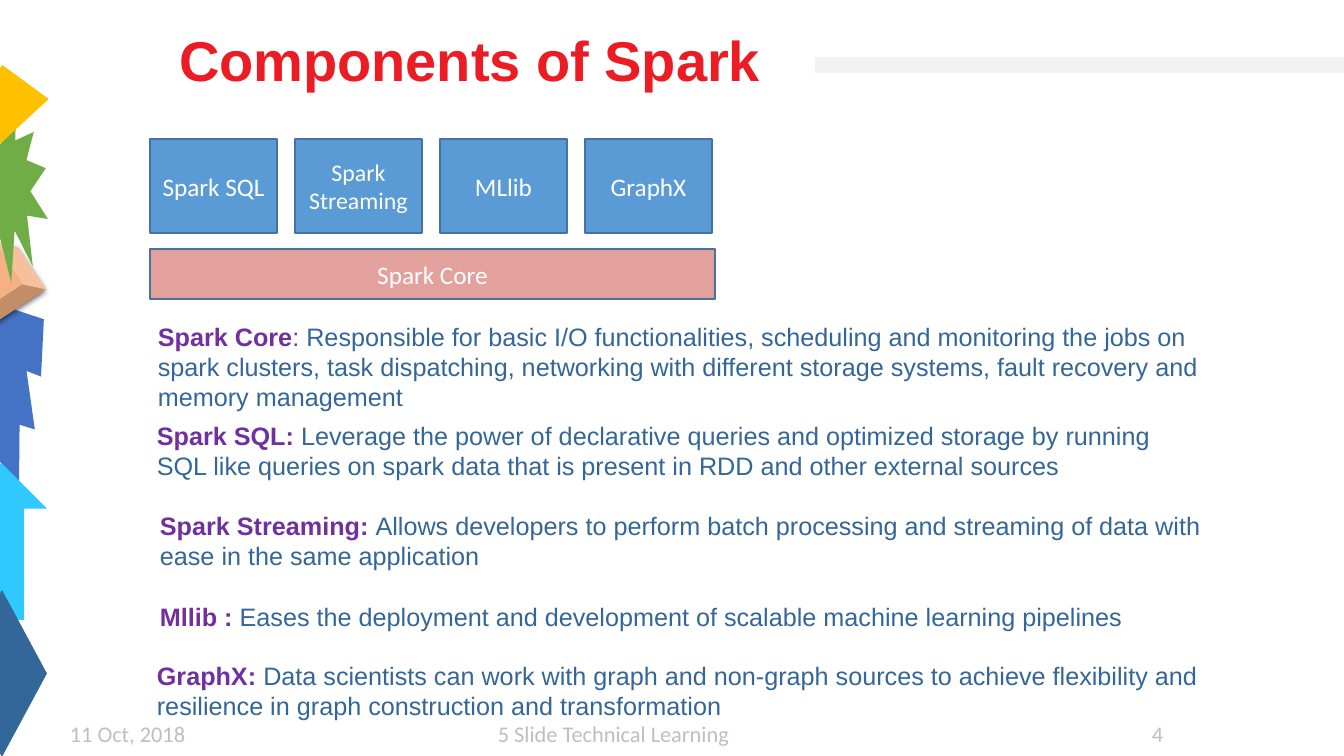
from lxml import etree
from pptx import Presentation
from pptx import util as u
from pptx.dml.color import RGBColor
from pptx.enum import shapes, text
from pptx.oxml import ns

PX = 914400 / 100.8  # EMU in one px

WHITE = RGBColor(0xFF, 0xFF, 0xFF)
RED = RGBColor(0xEC, 0x1C, 0x24)
PURPLE = RGBColor(0x70, 0x30, 0xA0)
NAVY = RGBColor(0x33, 0x66, 0x99)
BLUE = RGBColor(0x5B, 0x9B, 0xD5)
OUTLINE = RGBColor(0x43, 0x73, 0x9E)
PINK = RGBColor(0xE3, 0xA1, 0x9E)
PALE_GREY = RGBColor(0xF2, 0xF2, 0xF2)
FOOTER_GREY = RGBColor(0xBF, 0xBF, 0xBF)
ROYAL = RGBColor(0x44, 0x72, 0xC4)
CYAN = RGBColor(0x2F, 0xC9, 0xFF)
PEACH = RGBColor(0xF4, 0xB1, 0x83)
GREEN = RGBColor(0x70, 0xAD, 0x47)
GOLD = RGBColor(0xFF, 0xC0, 0x00)

presentation = Presentation()
presentation.slide_width = round(1344 * PX)
presentation.slide_height = round(756 * PX)
slide = presentation.slides.add_slide(presentation.slide_layouts[5])


def add_filled(kind, box, fill):
    shape = slide.shapes.add_shape(kind, *[round(n * PX) for n in box])
    shape.shadow.inherit = False
    shape.fill.solid()
    shape.fill.fore_color.rgb = fill
    shape.line.fill.background()
    return shape


def add_run(paragraph, words, font, size, color, bold=False):
    run = paragraph.add_run()
    run.text = words
    run.font.name = font
    run.font.size = u.Pt(size)
    run.font.color.rgb = color
    run.font.bold = bold


# Shapes along the left edge
KIND = shapes.MSO_SHAPE
edge_shapes = [
    (KIND.LIGHTNING_BOLT, (-82, 312, 175, 160), 41.1, ROYAL),
    (KIND.RIGHT_ARROW, (-77, 496, 157, 91), 270, CYAN),
    (KIND.CUBE, (-46, 240, 67, 95), 56.6, PEACH),
    (KIND.EXPLOSION1, (-47, 88, 95, 213), 0, GREEN),
    (KIND.PARALLELOGRAM, (-49, 67, 76, 98), 36.3, GOLD),
    (KIND.FLOWCHART_SORT, (-43, 590, 90, 167), 0, NAVY),
]
for kind, box, rotation, fill in edge_shapes:
    shape = add_filled(kind, box, fill)
    shape.rotation = rotation
    if kind == KIND.CUBE:
        effects = shape.element.spPr.find(ns.qn("a:effectLst"))
        shadow = etree.SubElement(effects, ns.qn("a:outerShdw"), blurRad="57150",
                                  dist="19050", dir="5400000", rotWithShape="0")
        shadow_color = etree.SubElement(shadow, ns.qn("a:srgbClr"), val="000000")
        etree.SubElement(shadow_color, ns.qn("a:alpha"), val="63000")

# Footer
for left, width, words in [(60, 200, "11 Oct, 2018"),
                           (488, 300, "5 Slide Technical Learning"),
                           (1142, 60, "4")]:
    footer = slide.shapes.add_textbox(*[round(n * PX) for n in (left, 715, width, 37)])
    footer.text_frame.word_wrap = True
    add_run(footer.text_frame.paragraphs[0], words, "Calibri", 16, FOOTER_GREY)

# Title, in front of the grey bar
add_filled(KIND.RECTANGLE, (229, 57, 1115, 16), PALE_GREY)
title = slide.shapes.title
title.element.getparent().append(title.element)
title.left, title.top, title.width, title.height = [
    round(n * PX) for n in (169, 20, 646, 78)]
title.fill.solid()
title.fill.fore_color.rgb = WHITE
title.text_frame.auto_size = text.MSO_AUTO_SIZE.NONE
title.text_frame.vertical_anchor = text.MSO_ANCHOR.TOP
heading = title.text_frame.paragraphs[0]
heading.alignment = text.PP_ALIGN.LEFT
add_run(heading, "Components of Spark", "Arial", 40, RED, True)

# Component blocks: the core below four libraries
blocks = [("Spark Core", (150, 249, 565, 50), PINK, 18)]
libraries = [("Spark SQL", 18), ("Spark Streaming", 17), ("MLlib", 18), ("GraphX", 18)]
for column, (name, size) in enumerate(libraries):
    blocks.append((name, (150 + 145 * column, 139, 127, 94), BLUE, size))
for name, box, fill, size in blocks:
    block = add_filled(KIND.RECTANGLE, box, fill)
    block.line.color.rgb = OUTLINE
    block.line.width = u.Pt(1)
    block.text_frame.word_wrap = True
    block.text_frame.vertical_anchor = text.MSO_ANCHOR.MIDDLE
    label = block.text_frame.paragraphs[0]
    label.alignment = text.PP_ALIGN.CENTER
    add_run(label, name, "Calibri", size, WHITE)

# Descriptions: box, bold term, plain separator, explanation
descriptions = [
    ((148, 316, 1065, 102), "Spark Core", ": ",
     "Responsible for basic I/O functionalities, scheduling and monitoring the jobs on "
     "spark clusters, task dispatching, networking with different storage systems, "
     "fault recovery and memory management"),
    ((147, 415, 1068, 72), "Spark SQL: ", "",
     "Leverage the power of declarative queries and optimized storage by running SQL "
     "like queries on spark data that is present in RDD and other external sources"),
    ((150, 505, 1098, 72), "Spark Streaming: ", "",
     "Allows developers to perform batch processing and streaming of data with ease "
     "in the same application"),
    ((150, 596, 1098, 40), "Mllib : ", "",
     "Eases the deployment and development of scalable machine learning pipelines"),
    ((147, 655, 1095, 72), "GraphX: ", "",
     "Data scientists can work with graph and non-graph sources to achieve flexibility "
     "and resilience in graph construction and transformation"),
]
for box, term, separator, explanation in descriptions:
    description = slide.shapes.add_textbox(*[round(n * PX) for n in box])
    description.text_frame.word_wrap = True
    paragraph = description.text_frame.paragraphs[0]
    add_run(paragraph, term, "Arial", 18, PURPLE, True)
    if separator:
        add_run(paragraph, separator, "Arial", 18, PURPLE)
    add_run(paragraph, explanation, "Arial", 18, NAVY)

presentation.save("out.pptx")
